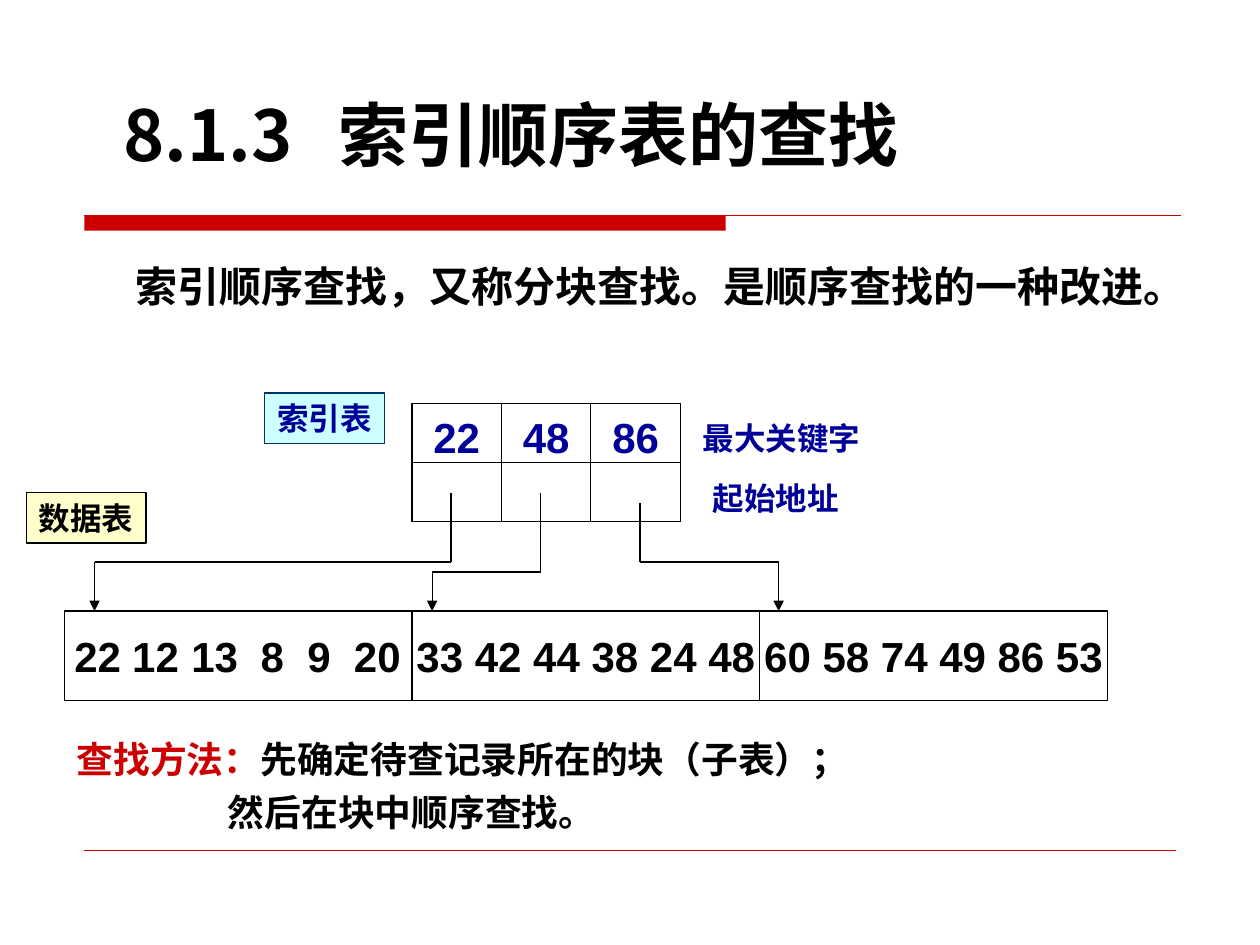
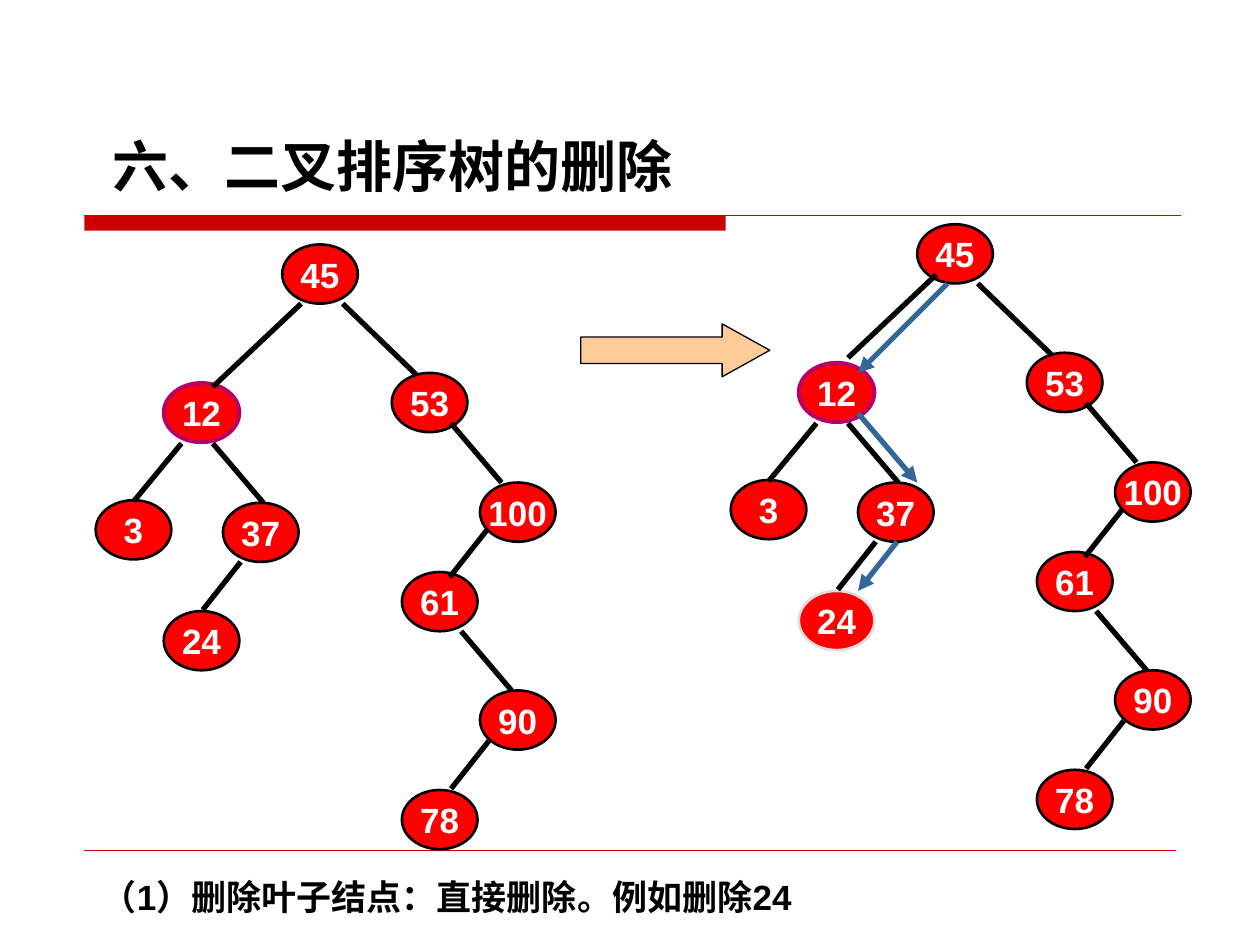
from itertools import pairwise

from lxml.etree import SubElement
from pptx import Presentation
from pptx.dml.color import RGBColor
from pptx.enum.shapes import MSO_CONNECTOR, MSO_SHAPE
from pptx.enum.text import MSO_ANCHOR, MSO_AUTO_SIZE, PP_ALIGN
from pptx.oxml.ns import qn
from pptx.util import Inches, Pt

BLACK = RGBColor(0x00, 0x00, 0x00)
WHITE = RGBColor(0xFF, 0xFF, 0xFF)
BAND_RED = RGBColor(0xCC, 0x00, 0x00)
NODE_RED = RGBColor(0xFF, 0x00, 0x00)
NAVY = RGBColor(0x00, 0x00, 0x99)
LABEL_EDGE = RGBColor(0x00, 0x33, 0x66)
CYAN = RGBColor(0xCC, 0xFF, 0xFF)
CREAM = RGBColor(0xFF, 0xFF, 0xCC)
PEACH = RGBColor(0xFF, 0xCC, 0x99)
PURPLE = RGBColor(0xB5, 0x00, 0x69)
GREY = RGBColor(0xDD, 0xDD, 0xDD)
PATH_BLUE = RGBColor(0x33, 0x66, 0x99)

LATIN_FONT = "Arial"
ASIAN_FONT = "DejaVu Sans"
TITLE_FONT = "Noto Sans CJK SC"

NODE_WIDTH, NODE_HEIGHT = 0.6, 0.47
TREE_NODES = {
    "45": (2.24, 1.94), "53": (3.11, 2.96), "100": (3.81, 3.83),
    "61": (3.19, 4.54), "90": (3.81, 5.48), "78": (3.19, 6.27),
    "12": (1.3, 3.04), "3": (0.76, 3.97), "37": (1.77, 3.99), "24": (1.3, 4.85),
}
ROOT_EDGE = ((2.39, 2.41), (1.69, 3.07))
TREE_EDGES = [
    ((2.72, 2.41), (3.31, 2.98)), ((3.58, 3.36), (3.98, 3.83)),
    ((3.87, 4.2), (3.57, 4.58)), ((3.66, 5.01), (4.06, 5.48)),
    ((3.88, 5.88), (3.58, 6.26)), ((1.44, 3.52), (1.06, 3.98)),
    ((1.69, 3.52), (2.09, 3.99)), ((1.91, 4.46), (1.61, 4.84)),
]
SEARCH_PATH = [
    ((7.52, 2.25), (6.81, 2.96)), ((6.81, 3.28), (7.28, 3.83)),
    ((7.12, 4.3), (6.81, 4.69)),
]


def add_tabs(para, stops):
    tabs = SubElement(para._p.get_or_add_pPr(), qn("a:tabLst"))
    for stop in stops:
        SubElement(tabs, qn("a:tab"), pos=str(Inches(stop)), algn="l")


def write(para, text, size=20, color=BLACK, font=LATIN_FONT, align=PP_ALIGN.LEFT,
          stops=(), indent=0, before=0, spacing=None):
    para.alignment = align
    if indent:
        para._p.get_or_add_pPr().set("marL", str(Inches(indent)))
    if before:
        para.space_before = Pt(before)
    if spacing:
        para.line_spacing = spacing
    if stops and para._p.find(".//" + qn("a:tabLst")) is None:
        add_tabs(para, stops)
    span = para.add_run()
    span.text = text
    span.font.size = Pt(size)
    span.font.bold = True
    span.font.name = font
    span.font.color.rgb = color
    SubElement(span._r.get_or_add_rPr(), qn("a:ea"), typeface=ASIAN_FONT)


def add_title(page, text, left, top, width, height, **style):
    title = page.shapes.title
    title.left, title.top = Inches(left), Inches(top)
    title.width, title.height = Inches(width), Inches(height)
    frame = title.text_frame
    frame.vertical_anchor = MSO_ANCHOR.TOP
    frame.auto_size = MSO_AUTO_SIZE.NONE
    write(frame.paragraphs[0], text, **style)


def add_text(page, left, top, width, height, text, wrap=False, **style):
    box = page.shapes.add_textbox(Inches(left), Inches(top), Inches(width), Inches(height))
    box.text_frame.word_wrap = wrap
    write(box.text_frame.paragraphs[0], text, **style)
    return box


def add_box(page, kind, left, top, width, height, fill, edge=BLACK, edge_width=0.75,
            text=None, **style):
    box = page.shapes.add_shape(kind, Inches(left), Inches(top), Inches(width), Inches(height))
    box.shadow.inherit = False
    box.fill.solid()
    box.fill.fore_color.rgb = fill
    if edge is None:
        box.line.fill.background()
    else:
        box.line.color.rgb = edge
        box.line.width = Pt(edge_width)
    if text:
        box.text_frame.word_wrap = False
        box.text_frame.vertical_anchor = MSO_ANCHOR.MIDDLE
        write(box.text_frame.paragraphs[0], text, **style)
    return box


def add_line(page, start, end, color=BLACK, width=0.75, arrow=False):
    line = page.shapes.add_connector(
        MSO_CONNECTOR.STRAIGHT, *(Inches(value) for value in (*start, *end)))
    line.line.color.rgb = color
    line.line.width = Pt(width)
    properties = line._element.spPr
    if arrow:
        SubElement(properties.find(qn("a:ln")), qn("a:tailEnd"), type="triangle")
    SubElement(properties, qn("a:effectLst"))


def add_route(page, *points):
    segments = list(pairwise(points))
    for number, (start, end) in enumerate(segments, 1):
        add_line(page, start, end, arrow=number == len(segments))


def add_page(deck):
    page = deck.slides.add_slide(deck.slide_layouts[5])
    add_box(page, MSO_SHAPE.RECTANGLE, 0.67, 1.71, 5.09, 0.12, BAND_RED, edge=None)
    add_line(page, (0.67, 1.71), (9.37, 1.71), BAND_RED)
    add_line(page, (0.67, 6.75), (9.33, 6.75), BAND_RED, 0.25)
    return page


def add_borders(cell):
    properties = cell._tc.get_or_add_tcPr()
    for side in ("a:lnL", "a:lnR", "a:lnT", "a:lnB"):
        border = SubElement(properties, qn(side), w=str(Pt(0.75)))
        fill = SubElement(border, qn("a:solidFill"))
        SubElement(fill, qn("a:srgbClr"), val=str(BLACK))


def add_index_table(page, keys):
    table = page.shapes.add_table(
        2, len(keys), Inches(3.27), Inches(3.2), Inches(2.13), Inches(0.94)).table
    for cell in table.iter_cells():
        add_borders(cell)
        cell.fill.solid()
        cell.fill.fore_color.rgb = WHITE
        cell.margin_left = cell.margin_right = cell.margin_top = cell.margin_bottom = 0
        cell.vertical_anchor = MSO_ANCHOR.BOTTOM
    for column, key in enumerate(keys):
        write(table.cell(0, column).text_frame.paragraphs[0], key,
              size=24, color=NAVY, align=PP_ALIGN.CENTER)


def add_data_blocks(page):
    blocks = ["22\t12\t13\t8\t9\t20", "33 42 44 38 24 48", "60 58 74 49 86 53"]
    for number, numbers in enumerate(blocks):
        tabbed = "\t" in numbers
        block = add_box(page, MSO_SHAPE.RECTANGLE, 0.51 + number * 2.76, 4.85, 2.76, 0.71,
                        WHITE, text=numbers, size=24,
                        align=PP_ALIGN.LEFT if tabbed else PP_ALIGN.CENTER,
                        stops=(0.46, 0.93, 1.48, 1.85, 2.22) if tabbed else ())
        if tabbed:
            block.text_frame.word_wrap = True
            block.text_frame.margin_left = Inches(0.08)
            block.text_frame.margin_right = 0


def add_tree(page, right=0, down=0, root_edge_down=0, edge_colors=None):
    edge_colors = edge_colors or {}
    for key, (left, top) in TREE_NODES.items():
        add_box(page, MSO_SHAPE.OVAL, left + right, top + down, NODE_WIDTH, NODE_HEIGHT,
                NODE_RED, edge_colors.get(key, PURPLE if key == "12" else BLACK),
                2.25 if key == "12" else 1.5,
                text=key, color=WHITE, align=PP_ALIGN.CENTER)
    edges = [(edge, down) for edge in TREE_EDGES] + [(ROOT_EDGE, down + root_edge_down)]
    for edge, shift in edges:
        start, end = ((x + right, y + shift) for x, y in edge)
        add_line(page, start, end, width=3)


def build_index_search(deck):
    page = add_page(deck)
    add_title(page, "8.1.3\t索引顺序表的查找", 0.88, 0.75, 8.37, 0.87,
              size=40, font=TITLE_FONT, stops=(1.71,), spacing=0.9)
    add_text(page, 0.98, 2.02, 8.82, 0.5, "索引顺序查找，又称分块查找。是顺序查找的一种改进。",
             wrap=True, size=24, font=ASIAN_FONT)
    add_index_table(page, ["22", "48", "86"])
    add_data_blocks(page)
    add_route(page, (3.58, 3.91), (3.58, 4.46), (0.75, 4.46), (0.75, 4.85))
    add_route(page, (4.29, 3.91), (4.29, 4.54), (3.43, 4.54), (3.43, 4.85))
    add_route(page, (5.08, 3.99), (5.08, 4.46), (6.18, 4.46), (6.18, 4.85))
    add_box(page, MSO_SHAPE.RECTANGLE, 2.1, 3.12, 0.95, 0.4, CYAN, LABEL_EDGE,
            text="索引表", size=18, color=NAVY)
    add_box(page, MSO_SHAPE.RECTANGLE, 0.21, 3.91, 0.95, 0.4, CREAM, text="数据表", size=18)
    add_text(page, 5.48, 3.28, 1.45, 0.4, "最大关键字", size=18, color=NAVY)
    add_text(page, 5.56, 3.75, 1.2, 0.4, "起始地址", size=18, color=NAVY)
    method = add_text(page, 0.51, 5.8, 8.5, 0.94, "查找方法：", wrap=True,
                      size=21, color=BAND_RED, font=ASIAN_FONT).text_frame
    write(method.paragraphs[0], "先确定待查记录所在的块（子表）；", size=21, font=ASIAN_FONT)
    write(method.add_paragraph(), "然后在块中顺序查找。", size=21, font=ASIAN_FONT,
          indent=1.2, before=5.2)


def build_tree_deletion(deck):
    page = add_page(deck)
    add_title(page, "六、二叉排序树的删除", 0.79, 0.99, 5.25, 0.64, size=32)
    add_text(page, 0.71, 6.9, 6.4, 0.44, "（1）删除叶子结点：直接删除。例如删除24", wrap=True)
    arrow = add_box(page, MSO_SHAPE.RIGHT_ARROW, 4.61, 2.57, 1.5, 0.42, PEACH)
    arrow.adjustments[1] = 0.9
    add_tree(page)
    add_tree(page, right=5.04, down=-0.16, root_edge_down=-0.07, edge_colors={"24": GREY})
    for start, end in SEARCH_PATH:
        add_line(page, start, end, PATH_BLUE, 3, arrow=True)


def main():
    deck = Presentation()
    deck.slide_width, deck.slide_height = Inches(10), Inches(7.5)
    build_index_search(deck)
    build_tree_deletion(deck)
    deck.save("out.pptx")


if __name__ == "__main__":
    main()
